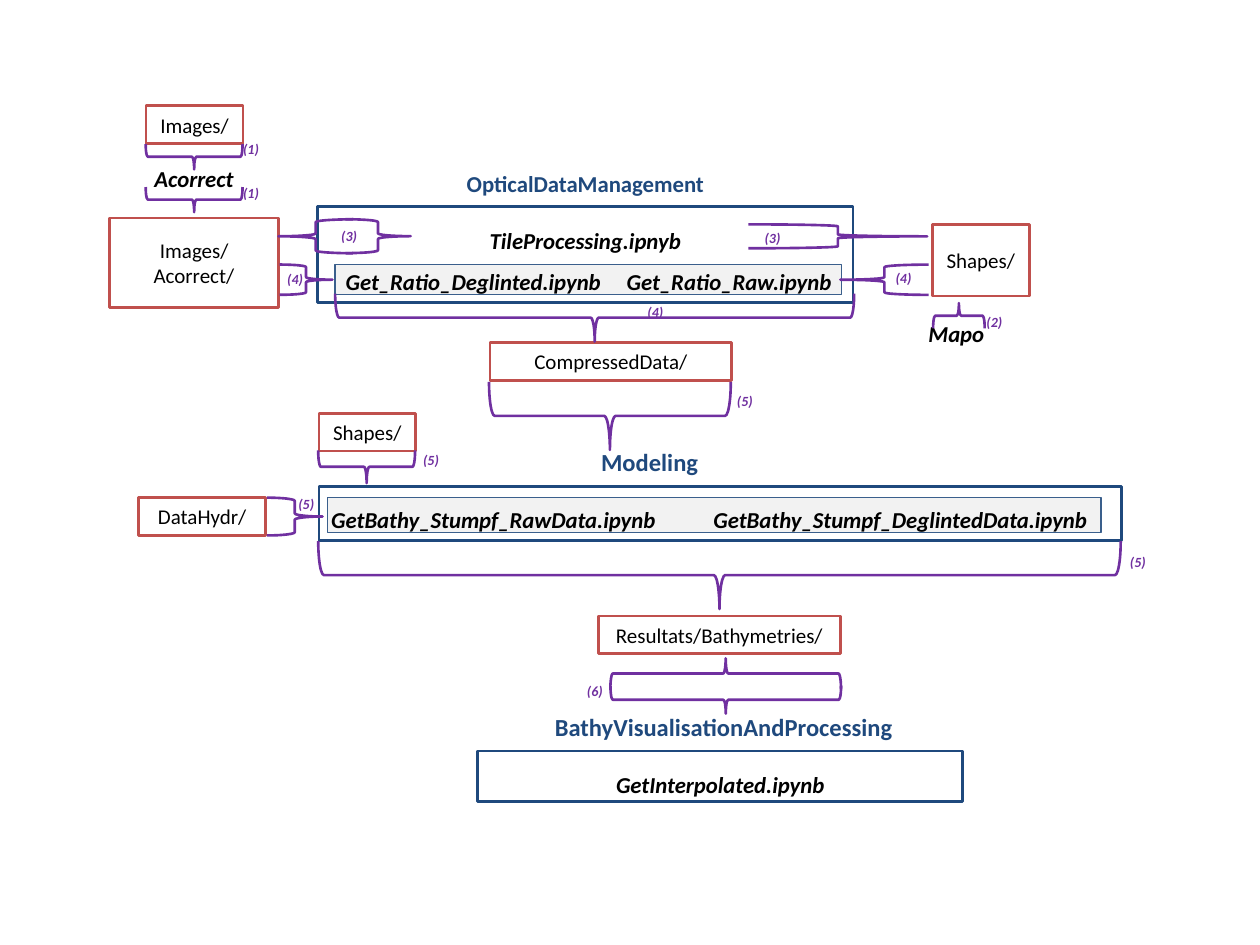
from lxml import etree
from pptx import Presentation
from pptx import util as u
from pptx.dml.color import RGBColor
from pptx.enum import shapes, text
from pptx.oxml import ns

COLORS = {"black": "000000", "navy": "1F497D", "red": "C0504D",
          "purple": "7030A0", "steel": "3A5F8C", "grey": "F2F2F2"}

PANELS = [(187.2, 284.4, 442, 20), (191.5, 151.2, 289.4, 17.3)]
FOLDERS = [
    ("Images/Acorrect/", 62.6, 124.6, 96.5, 51.1),
    ("Images/", 83.5, 60.5, 55.4, 21.6),
    ("Shapes/", 532.8, 128.2, 55.4, 41),
    ("CompressedData/", 280, 195.8, 138.2, 21.6),
    ("DataHydr/", 79.2, 284.4, 72.7, 21.6),
    ("Resultats/Bathymetries/", 342, 352, 138.2, 21.6),
    ("Shapes/", 182.2, 236.2, 55.4, 21.6),
]
TOOLS = [("Acorrect", 71.3, 90.7, 79.2, 23), ("Mapo", 506.9, 179.3, 79.2, 23)]
HEADINGS = [
    ("OpticalDataManagement", 13, 181.4, 93.6, 306, 23),
    ("Modeling", 14, 182.2, 252, 378, 24.5),
    ("BathyVisualisationAndProcessing", 14, 267.1, 403.2, 293, 24.5),
]
NOTEBOOKS = [
    ([("TileProcessing.ipnyb", []),
      ("\tGet_Ratio_Deglinted.ipynb\tGet_Ratio_Raw.ipynb", [9, 169.6])],
     181.4, 118.1, 306, 54.7),
    ([("GetBathy_Stumpf_RawData.ipynb\tGetBathy_Stumpf_DeglintedData.ipynb", [218.4])],
     182.2, 277.9, 458.6, 31),
    ([("GetInterpolated.ipynb", [])], 272.9, 429.1, 277.2, 28.8),
]
BRACES = [
    ("down", 83.2, 82.4, 55.4, 14.4),
    ("down", 83.2, 106.9, 55.4, 14.4),
    ("right", 197.3, 125.3, 37.4, 19.4),
    ("left", 159.1, 125.3, 42.5, 19.4),
    ("up", 533.2, 173.2, 29.5, 14.4),
    ("left", 480.2, 151.2, 50.4, 17.3),
    ("right", 427.7, 128.2, 102.2, 13.7),
    ("down", 191.5, 167.8, 296.6, 27.4),
    ("down", 279.4, 218.2, 138.2, 38.9),
    ("right", 152.6, 284.4, 31.7, 21.6),
    ("down", 181.8, 309.2, 458.6, 38.9),
    ("down", 181.8, 257.4, 55.4, 18.7),
    ("down", 348.8, 392, 131.8, 15.8),
    ("up", 348.8, 376.2, 131.8, 17.3),
    ("right", 159.8, 151.2, 30.2, 17.3),
]
STEPS = [
    (1, 131.8, 77), (1, 131.8, 102.2), (3, 187.9, 126.7), (4, 504.7, 150.5),
    (2, 556.6, 175.7), (4, 362.9, 169.9), (5, 414, 221), (5, 163.4, 279.4),
    (5, 638.6, 312.5), (5, 234.7, 254.2), (6, 328.3, 386.6), (3, 429.8, 127.4),
    (4, 157, 151.2),
]
ROTATIONS = {"right": 0, "down": 90, "left": 180, "up": 270}

FOLDER_FONT = {"size": u.Pt(12)}
CODE_FONT = {"size": u.Pt(13), "bold": True, "italic": True}
STEP_FONT = {"size": u.Pt(8), "bold": True, "italic": True}

presentation = Presentation()
presentation.slide_width, presentation.slide_height = u.Pt(720), u.Pt(540)
slide = presentation.slides.add_slide(presentation.slide_layouts[6])


def add_outline(kind, box, line, width=1.5, fill=None):
    shape = slide.shapes.add_shape(kind, *map(u.Pt, box))
    shape.shadow.inherit = False
    if fill:
        shape.fill.solid()
        shape.fill.fore_color.rgb = RGBColor.from_string(COLORS[fill])
    else:
        shape.fill.background()
    shape.line.color.rgb = RGBColor.from_string(COLORS[line])
    shape.line.width = u.Pt(width)
    return shape


def add_textbox(box):
    return slide.shapes.add_textbox(*map(u.Pt, box))


def write(shape, lines, font, color="black", align="CENTER", spacing=None, anchor="TOP"):
    frame = shape.text_frame
    frame.word_wrap = True
    frame.vertical_anchor = text.MSO_ANCHOR[anchor]
    for index, (words, stops) in enumerate(lines):
        paragraph = frame.add_paragraph() if index else frame.paragraphs[0]
        paragraph.alignment = text.PP_ALIGN["LEFT" if stops else align]
        paragraph.line_spacing = spacing
        if stops:
            tabs = etree.SubElement(paragraph._p.get_or_add_pPr(), ns.qn("a:tabLst"))
            for stop in stops:
                etree.SubElement(tabs, ns.qn("a:tab"), pos=str(int(u.Pt(stop))), algn="l")
        run = paragraph.add_run()
        run.text = words
        for name, value in {"name": "Calibri", **font}.items():
            setattr(run.font, name, value)
        run.font.color.rgb = RGBColor.from_string(COLORS[color])


RECTANGLE = shapes.MSO_SHAPE.RECTANGLE
for box in PANELS:
    add_outline(RECTANGLE, box, "steel", 0.75, "grey")
for name, *box in FOLDERS:
    write(add_outline(RECTANGLE, box, "red"), [(name, [])], FOLDER_FONT, anchor="MIDDLE")
for name, *box in TOOLS:
    write(add_textbox(box), [(name, [])], CODE_FONT)
for name, size, *box in HEADINGS:
    write(add_textbox(box), [(name, [])], {"size": u.Pt(size), "bold": True}, "navy")
for lines, *box in NOTEBOOKS:
    write(add_outline(RECTANGLE, box, "navy"), lines, CODE_FONT, spacing=1.5)
for direction, left, top, width, height in BRACES:
    box = (left, top, width, height)
    if direction in ("up", "down"):
        shift = (width - height) / 2
        box = (left + shift, top - shift, height, width)
    brace = add_outline(shapes.MSO_SHAPE.RIGHT_BRACE, box, "purple")
    brace.rotation = ROTATIONS[direction]
for number, left, top in STEPS:
    write(add_textbox((left, top, 27.4, 17.3)), [(f"({number})", [])], STEP_FONT,
          "purple", "LEFT")

presentation.save("out.pptx")
